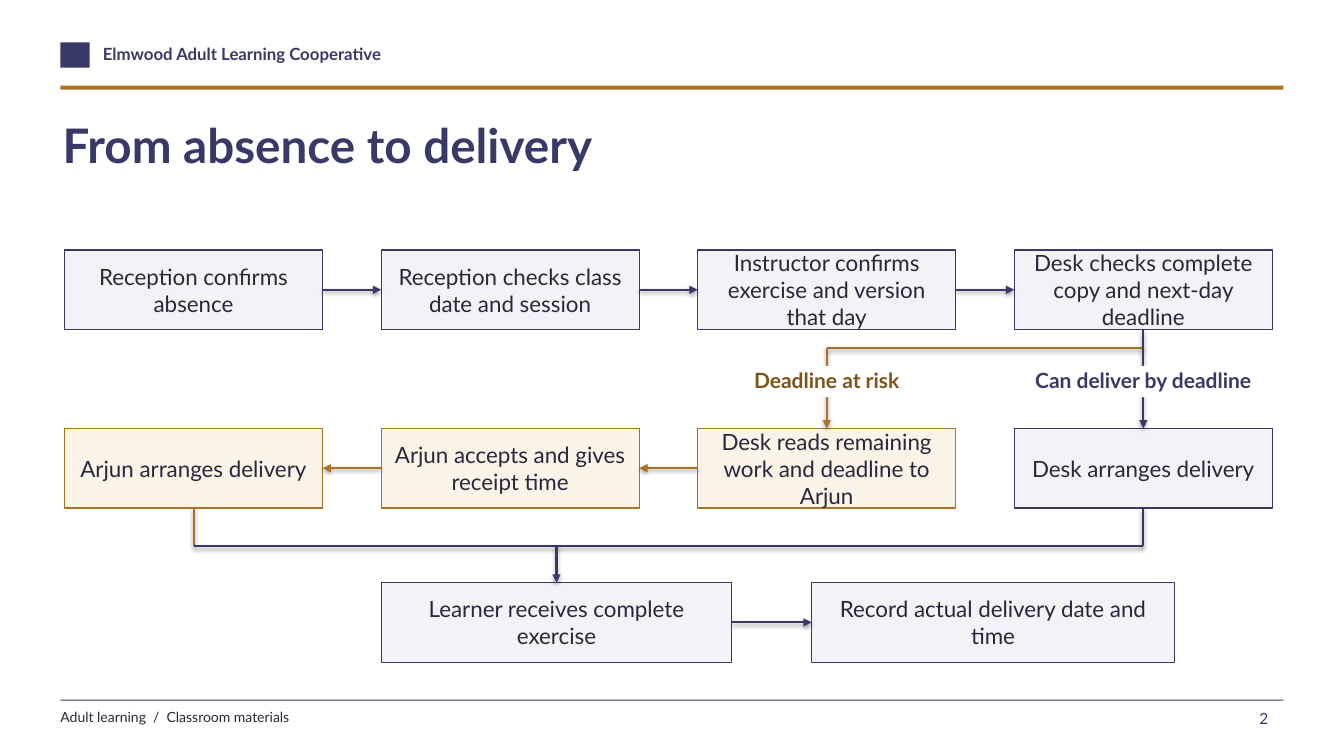
from lxml import etree
from pptx import Presentation
from pptx.dml.color import RGBColor
from pptx.enum.shapes import MSO_CONNECTOR, MSO_SHAPE
from pptx.enum.text import MSO_ANCHOR, MSO_AUTO_SIZE, PP_ALIGN
from pptx.oxml.ns import qn
from pptx.util import Inches, Pt

STRAIGHT = MSO_CONNECTOR.STRAIGHT
RECTANGLE = MSO_SHAPE.RECTANGLE
TOP_ANCHOR, MIDDLE_ANCHOR = MSO_ANCHOR.TOP, MSO_ANCHOR.MIDDLE
NO_AUTO_SIZE = MSO_AUTO_SIZE.NONE
LEFT_ALIGN, CENTER, RIGHT_ALIGN = PP_ALIGN.LEFT, PP_ALIGN.CENTER, PP_ALIGN.RIGHT

NAVY, GOLD, BROWN, INK, WHITE = "393967", "A87323", "805316", "29283A", "FFFFFF"
PALE_NAVY, PALE_GOLD = "F3F2F7", "FAF3E8"
FILLS = {NAVY: PALE_NAVY, GOLD: PALE_GOLD}

TOP, LEFT, BOTTOM, RIGHT = range(4)
COLUMNS = [0.64 + 3.14 * column for column in range(4)]
CHECK_ROW, DELIVERY_ROW, RESULT_ROW = 2.48, 4.25, 5.78
STEP_WIDTH, STEP_HEIGHT = 2.56, 0.79
BRANCH_Y, MERGE_Y = 3.45, 5.42

CHECK_STEPS = [
    "Reception confirms absence",
    "Reception checks class date and session",
    "Instructor confirms exercise and version that day",
    "Desk checks complete copy and next-day deadline",
]
DELIVERY_STEPS = [
    ("Arjun arranges delivery", GOLD),
    ("Arjun accepts and gives receipt time", GOLD),
    ("Desk reads remaining work and deadline to Arjun", GOLD),
    ("Desk arranges delivery", NAVY),
]
RESULT_STEPS = [
    ("Learner receives complete exercise", COLUMNS[1], 3.48),
    ("Record actual delivery date and time", 8.05, 3.6),
]
BRANCH_LABELS = [
    ("Deadline at risk", COLUMNS[2], BROWN),
    ("Can deliver by deadline", COLUMNS[3], NAVY),
]


def color(value):
    """Turn a hex string into a colour."""
    return RGBColor.from_string(value)


def set_text(shape, text, size, text_color, bold=False, align=LEFT_ALIGN,
             anchor=TOP_ANCHOR, insets=(0, 0)):
    """Write one formatted paragraph into a shape."""
    frame = shape.text_frame
    horizontal, vertical = (Inches(inset) for inset in insets)
    frame_format = {
        "word_wrap": True, "auto_size": NO_AUTO_SIZE, "vertical_anchor": anchor,
        "margin_left": horizontal, "margin_right": horizontal,
        "margin_top": vertical, "margin_bottom": vertical,
    }
    for name, value in frame_format.items():
        setattr(frame, name, value)
    paragraph = frame.paragraphs[0]
    paragraph.alignment = align
    run = paragraph.add_run()
    run.text = text
    for name, value in {"name": "Lato", "size": Pt(size), "bold": bold}.items():
        setattr(run.font, name, value)
    run.font.color.rgb = color(text_color)


def add_rectangle(slide, left, top, width, height, fill, line=None):
    """Add a flat rectangle, outlined when a line colour is given."""
    shape = slide.shapes.add_shape(
        RECTANGLE, Inches(left), Inches(top), Inches(width), Inches(height))
    shape.shadow.inherit = False
    shape.fill.solid()
    shape.fill.fore_color.rgb = color(fill)
    if line:
        shape.line.color.rgb = color(line)
        shape.line.width = Pt(0.8)
    else:
        shape.line.fill.background()
    return shape


def add_text(slide, text, left, top, width, height, size, text_color, **options):
    """Add a text box with one paragraph."""
    box = slide.shapes.add_textbox(
        Inches(left), Inches(top), Inches(width), Inches(height))
    set_text(box, text, size, text_color, **options)


def add_step(slide, text, left, top, width=STEP_WIDTH, line=NAVY):
    """Add one process step."""
    step = add_rectangle(slide, left, top, width, STEP_HEIGHT, FILLS[line], line)
    set_text(step, text, 16, INK, align=CENTER, anchor=MIDDLE_ANCHOR,
             insets=(0.12, 0.02))
    return step


def side_point(shape, side):
    """Return the middle of one side of a shape."""
    middle_x = shape.left + shape.width // 2
    middle_y = shape.top + shape.height // 2
    return {
        TOP: (middle_x, shape.top),
        LEFT: (shape.left, middle_y),
        BOTTOM: (middle_x, shape.top + shape.height),
        RIGHT: (shape.left + shape.width, middle_y),
    }[side]


def add_link(slide, start, end, line_color=NAVY, arrow=True):
    """Link two ends, each a point or a (shape, side) pair."""
    joined = [hasattr(first, "text_frame") for first, _ in (start, end)]
    points = [side_point(*place) if join else place
              for place, join in zip((start, end), joined)]
    link = slide.shapes.add_connector(STRAIGHT, *points[0], *points[1])
    if joined[0]:
        link.begin_connect(*start)
    if joined[1]:
        link.end_connect(*end)
    link.line.color.rgb = color(line_color)
    link.line.width = Pt(1.5)
    if arrow:
        outline = link.line._get_or_add_ln()
        etree.SubElement(outline, qn("a:tailEnd"), type="triangle")


def add_page_frame(slide):
    """Add the header, title, rules and footer."""
    add_rectangle(slide, 0.6, 0.42, 0.29, 0.25, NAVY)
    add_text(slide, "Elmwood Adult Learning Cooperative", 1.02, 0.43, 6, 0.28,
             12, NAVY, bold=True)
    add_rectangle(slide, 0.6, 0.85, 12.13, 0.04, GOLD)
    add_rectangle(slide, 0.6, 6.94, 12.13, 0.01, NAVY)
    add_text(slide, "Adult learning  /  Classroom materials", 0.6, 7.03, 7, 0.23,
             10, INK)
    add_text(slide, "2", 11.87, 7.01, 0.73, 0.28, 11, NAVY, align=RIGHT_ALIGN,
             insets=(0.02, 0.02))
    title = slide.shapes.title
    bounds = {"left": 0.62, "top": 1.15, "width": 12, "height": 1.05}
    for name, value in bounds.items():
        setattr(title, name, Inches(value))
    set_text(title, "From absence to delivery", 34, NAVY, bold=True)


def add_process(slide):
    """Add the steps, their links and the branch labels."""
    checks = [add_step(slide, text, left, CHECK_ROW)
              for text, left in zip(CHECK_STEPS, COLUMNS)]
    deliveries = [add_step(slide, text, left, DELIVERY_ROW, line=line)
                  for (text, line), left in zip(DELIVERY_STEPS, COLUMNS)]
    received, recorded = [add_step(slide, text, left, RESULT_ROW, width)
                          for text, left, width in RESULT_STEPS]

    for before, after in zip(checks, checks[1:]):
        add_link(slide, (before, RIGHT), (after, LEFT))
    arranged, accepted, escalated, desk = deliveries
    for before, after in ((escalated, accepted), (accepted, arranged)):
        add_link(slide, (before, LEFT), (after, RIGHT), GOLD)
    add_link(slide, (received, RIGHT), (recorded, LEFT))

    branch_y, merge_y = Inches(BRANCH_Y), Inches(MERGE_Y)
    fork = (side_point(desk, TOP)[0], branch_y)
    risk = (side_point(escalated, TOP)[0], branch_y)
    add_link(slide, (checks[-1], BOTTOM), fork, arrow=False)
    add_link(slide, fork, risk, GOLD, arrow=False)
    add_link(slide, risk, (escalated, TOP), GOLD)
    add_link(slide, fork, (desk, TOP))

    merge = (side_point(received, TOP)[0], merge_y)
    for step, line in ((arranged, GOLD), (desk, NAVY)):
        corner = (side_point(step, BOTTOM)[0], merge_y)
        add_link(slide, (step, BOTTOM), corner, line, arrow=False)
        add_link(slide, corner, merge, arrow=False)
    add_link(slide, merge, (received, TOP))

    for text, left, text_color in BRANCH_LABELS:
        label = add_rectangle(slide, left, 3.63, STEP_WIDTH, 0.31, WHITE)
        set_text(label, text, 15, text_color, bold=True, align=CENTER,
                 insets=(0.02, 0.02))


def main():
    """Build and save the slide."""
    presentation = Presentation()
    presentation.slide_width = Inches(13.33)
    presentation.slide_height = Inches(7.5)
    slide = presentation.slides.add_slide(presentation.slide_layouts[5])
    add_page_frame(slide)
    add_process(slide)
    presentation.save("out.pptx")


if __name__ == "__main__":
    main()
